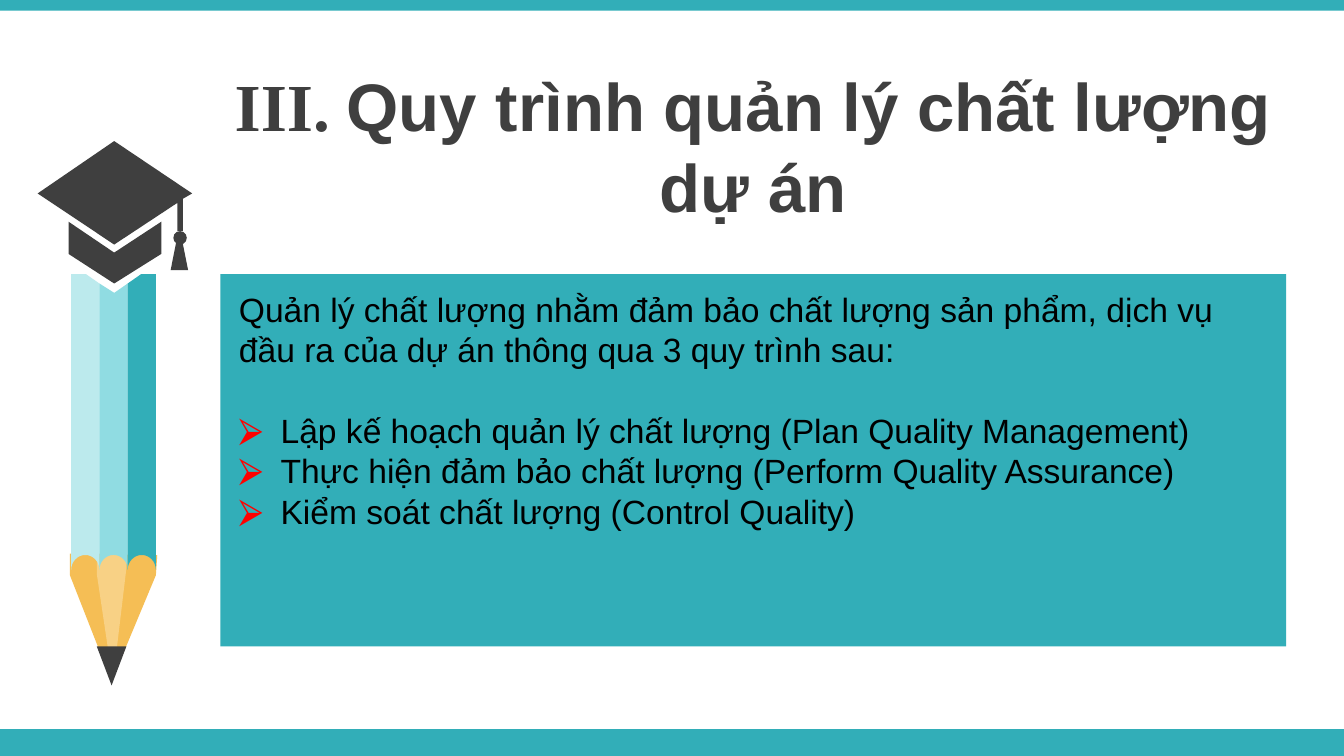
from math import cos, pi, sin

from lxml.etree import SubElement
from pptx import Presentation
from pptx.dml.color import RGBColor
from pptx.enum.shapes import MSO_SHAPE as Shape
from pptx.enum.text import MSO_ANCHOR as Anchor, PP_ALIGN as Align
from pptx.oxml.ns import qn
from pptx.util import Inches, Pt

TEAL = RGBColor(0x32, 0xAE, 0xB8)
MID_TEAL = RGBColor(0x90, 0xDC, 0xE2)
PALE_TEAL = RGBColor(0xBC, 0xEA, 0xED)
WOOD = RGBColor(0xF5, 0xBE, 0x55)
LIGHT_WOOD = RGBColor(0xF8, 0xD1, 0x85)
CHARCOAL = RGBColor(0x3F, 0x3F, 0x3F)
BLACK = RGBColor(0, 0, 0)
RED = RGBColor(0xFF, 0, 0)

WIDTH = 10
HEIGHT = WIDTH * 9 / 16
INTRO = ("Quản lý chất lượng nhằm đảm bảo chất lượng sản phẩm, dịch vụ "
         "đầu ra của dự án thông qua 3 quy trình sau:")
PROCESSES = [
    "Lập kế hoạch quản lý chất lượng (Plan Quality Management)",
    "Thực hiện đảm bảo chất lượng (Perform Quality Assurance)",
    "Kiểm soát chất lượng (Control Quality)",
]


def paint(shape, color):
    shape.fill.solid()
    shape.fill.fore_color.rgb = color
    shape.line.fill.background()
    shape.shadow.inherit = False


def add_preset(shapes, kind, left, top, width, height, color):
    shape = shapes.add_shape(kind, Inches(left), Inches(top), Inches(width), Inches(height))
    paint(shape, color)
    return shape


def add_outline(shapes, left, top, points, color):
    placed = [(Inches(left + x), Inches(top + y)) for x, y in points]
    builder = shapes.build_freeform(*placed[0])
    builder.add_line_segments(placed[1:], close=True)
    paint(builder.convert_to_shape(), color)


def add_text(paragraph, text, font="Arial", size=18, color=BLACK, bold=False):
    run = paragraph.add_run()
    run.text = text
    run.font.name = font
    run.font.size = Pt(size)
    run.font.color.rgb = color
    run.font.bold = bold


def add_bullet(paragraph, symbol, color, indent):
    properties = paragraph._p.get_or_add_pPr()
    properties.set("marL", str(Inches(indent)))
    properties.set("indent", str(-Inches(indent)))
    bullet_color = SubElement(properties, qn("a:buClr"))
    SubElement(bullet_color, qn("a:srgbClr"), val=str(color))
    SubElement(properties, qn("a:buFont"), typeface="Arial")
    SubElement(properties, qn("a:buChar"), char=symbol)


def add_bars(slide):
    add_preset(slide.shapes, Shape.RECTANGLE, 0, HEIGHT - 0.2, WIDTH, 0.2, TEAL)
    add_preset(slide.shapes, Shape.RECTANGLE, 0, 0, WIDTH, 0.08, TEAL)


def set_title(slide, left, top, width, height):
    title = slide.shapes.title
    title.left, title.top = Inches(left), Inches(top)
    title.width, title.height = Inches(width), Inches(height)
    frame = title.text_frame
    frame.word_wrap = True
    frame.vertical_anchor = Anchor.MIDDLE
    paragraph = frame.paragraphs[0]
    paragraph.alignment = Align.CENTER
    heading = {"size": 36, "color": CHARCOAL, "bold": True}
    add_text(paragraph, "III. ", font="Times New Roman", **heading)
    add_text(paragraph, "Quy trình quản lý chất lượng dự án", **heading)


def add_barrel_strip(shapes, left, top, top_edge, color):
    width, bottom, steps = 0.21, 3.19, 16
    radius = width / 2
    scallop = [(radius + radius * cos(pi * i / steps), bottom - 0.11 * sin(pi * i / steps))
               for i in range(steps + 1)]
    add_outline(shapes, left, top, top_edge + scallop, color)


def add_pencil(slide, left, top):
    shapes = slide.shapes.add_group_shape().shapes
    wood = [(0.24, 3.07), (0.89, 3.08), (0.88, 3.23), (0.55, 4.02), (0.24, 3.23)]
    front_wood = [(0.44, 3.07), (0.66, 3.07), (0.66, 3.18), (0.56, 4.02), (0.44, 3.22)]
    add_outline(shapes, left, top, wood, WOOD)
    add_outline(shapes, left, top, front_wood, LIGHT_WOOD)

    strips = [
        ([(0, 0.99), (0.11, 0.99), (0.21, 1.06)], PALE_TEAL),
        ([(0, 1.06), (0.11, 1.13), (0.21, 1.06)], MID_TEAL),
        ([(0, 1.06), (0.1, 0.99), (0.21, 0.99)], TEAL),
    ]
    for index, (top_edge, color) in enumerate(strips):
        add_barrel_strip(shapes, left + 0.25 + index * 0.21, top, top_edge, color)

    tip = add_preset(shapes, Shape.ISOSCELES_TRIANGLE, left + 0.44, top + 3.76, 0.22, 0.29, CHARCOAL)
    tip.rotation = 180

    cap_band = [(0.23, 0.6), (0.57, 0.83), (0.92, 0.6), (0.92, 0.84), (0.57, 1.06), (0.23, 0.84)]
    cap_board = [(0.57, 0), (1.15, 0.39), (1.08, 0.43), (1.08, 0.67),
                 (1.04, 0.67), (1.04, 0.46), (0.57, 0.77), (0, 0.39)]
    tassel = [(1.03, 0.76), (1.08, 0.76), (1.12, 0.96), (0.99, 0.96)]
    for points in (cap_band, cap_board, tassel):
        add_outline(shapes, left, top, points, CHARCOAL)
    add_preset(shapes, Shape.OVAL, left + 1.01, top + 0.67, 0.1, 0.1, CHARCOAL)


def add_content(slide, left, top, width, height):
    add_preset(slide.shapes, Shape.RECTANGLE, left, top, width, height, TEAL)
    box = slide.shapes.add_textbox(Inches(left + 0.04), Inches(top + 0.06),
                                   Inches(width - 0.29), Inches(height - 0.18))
    frame = box.text_frame
    frame.word_wrap = True
    add_text(frame.paragraphs[0], INTRO)
    for index, process in enumerate(PROCESSES):
        paragraph = frame.add_paragraph()
        if index == 0:
            paragraph.space_before = Pt(21.6)
        add_bullet(paragraph, "⮚", RED, 0.31)
        add_text(paragraph, process)


def main():
    presentation = Presentation()
    presentation.slide_width = Inches(WIDTH)
    presentation.slide_height = Inches(HEIGHT)
    slide = presentation.slides.add_slide(presentation.slide_layouts[5])
    add_bars(slide)
    set_title(slide, 1.64, 0.43, 7.93, 1.3)
    add_pencil(slide, 0.28, 1.05)
    add_content(slide, 1.64, 2.04, 7.93, 2.77)
    presentation.save("out.pptx")


if __name__ == "__main__":
    main()
